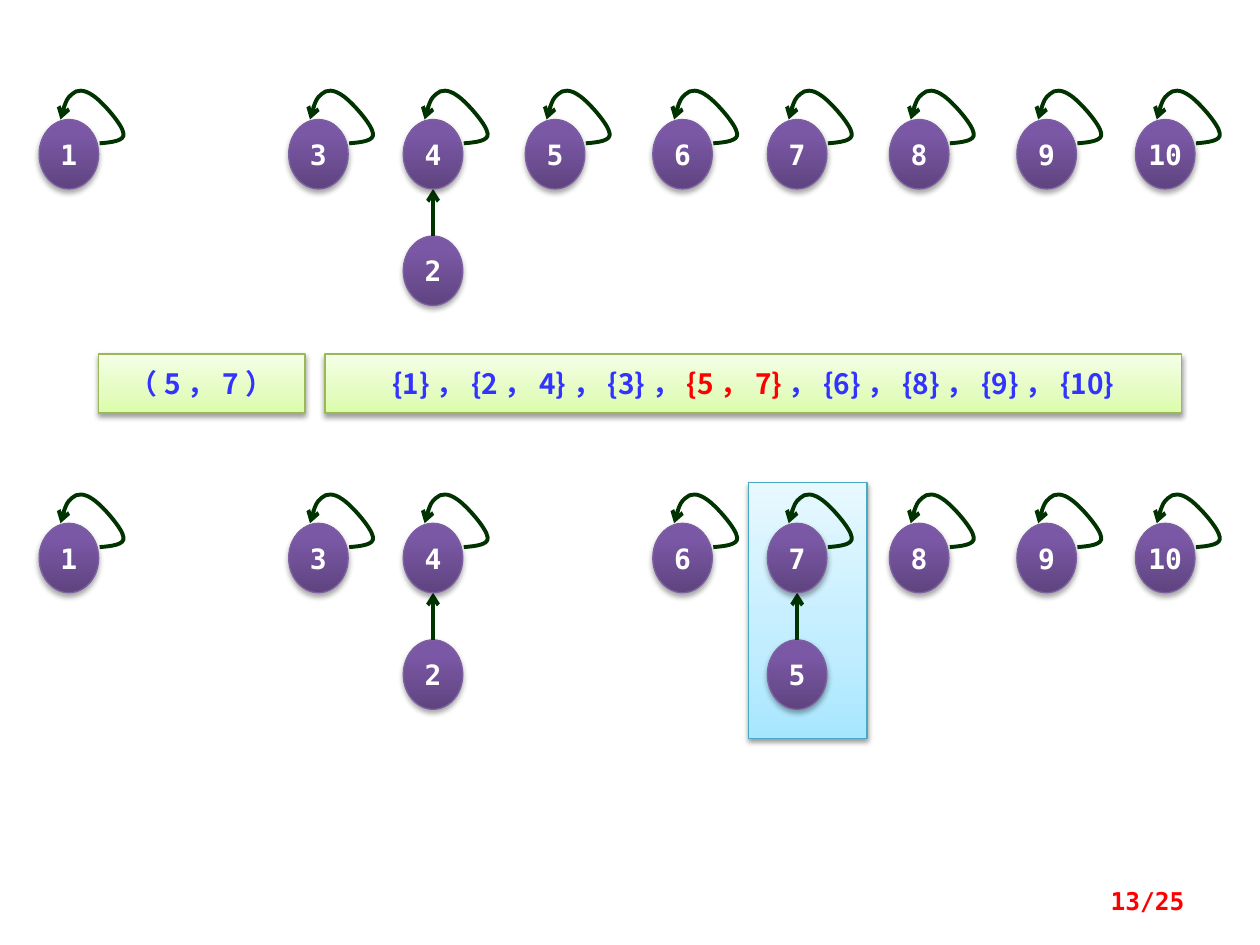
from copy import deepcopy

from lxml import etree
from pptx import Presentation
from pptx import util as u
from pptx.dml.color import RGBColor
from pptx.enum import shapes, text
from pptx.oxml.ns import qn

WHITE = RGBColor(0xFF, 0xFF, 0xFF)
RED = RGBColor(0xFF, 0x00, 0x00)
BLUE = RGBColor(0x33, 0x33, 0xFF)
DARK_GREEN = RGBColor(0x00, 0x33, 0x00)
PURPLE_EDGE = RGBColor(0x7D, 0x60, 0xA0)
GREEN_EDGE = RGBColor(0x98, 0xB9, 0x55)
AQUA_EDGE = RGBColor(0x46, 0xAA, 0xC5)
PURPLE = [(0, RGBColor(0x5F, 0x44, 0x80)), (0.8, RGBColor(0x7B, 0x58, 0xA6)),
          (1, RGBColor(0x7C, 0x57, 0xA8))]
GREEN = [(0, RGBColor(0xDA, 0xFD, 0xA7)), (0.35, RGBColor(0xE4, 0xFC, 0xC2)),
         (1, RGBColor(0xF5, 0xFF, 0xE7))]
AQUA = [(0, RGBColor(0xA7, 0xE6, 0xFF)), (0.35, RGBColor(0xC1, 0xED, 0xFF)),
        (1, RGBColor(0xE7, 0xF8, 0xFF))]

MONO = "DejaVu Sans Mono"
HAN = "Noto Sans CJK SC"
NODE_WIDTH, NODE_HEIGHT, LEVEL_GAP = 1.2, 1.4, 2.35
ROOT_LEFT = {1: 0.79, 3: 5.82, 4: 8.13, 5: 10.59, 6: 13.16,
             7: 15.47, 8: 17.93, 9: 20.5, 10: 22.89}
FORESTS = [(2.41, {2: 4}), (10.55, {2: 4, 5: 7})]
LOOP = [(1.22, 0.48), (1.47, 0.46), (1.73, 0.43), (1.7, 0.28), (1.68, 0.1),
        (1.27, -0.36), (1.09, -0.48), (0.91, -0.61), (0.76, -0.61),
        (0.66, -0.51), (0.56, -0.43), (0.48, -0.23), (0.43, 0)]


def add_box(kind, left, top, width, height, stops, edge, alpha, distance):
    box = page.shapes.add_shape(kind, u.Cm(left), u.Cm(top), u.Cm(width), u.Cm(height))
    box.fill.gradient()
    box.fill.gradient_angle = 90
    stop_list = box.element.find(".//" + qn("a:gsLst"))
    stop_list.append(deepcopy(stop_list[0]))
    for stop, (position, color) in zip(box.fill.gradient_stops, stops):
        stop.position = position
        stop.color.rgb = color
    box.line.color.rgb = edge
    box.line.width = u.Pt(0.75)
    box.shadow.inherit = False
    effects = box.element.spPr.find(qn("a:effectLst"))
    shadow = etree.SubElement(effects, qn("a:outerShdw"), blurRad="40000",
                              dist=str(distance), dir="5400000", rotWithShape="0")
    black = etree.SubElement(shadow, qn("a:srgbClr"), val="000000")
    etree.SubElement(black, qn("a:alpha"), val=str(alpha * 1000))
    return box


def write(box, spans, font_name, size, align):
    box.text_frame.word_wrap = True
    box.text_frame.vertical_anchor = text.MSO_ANCHOR.MIDDLE
    para = box.text_frame.paragraphs[0]
    para.alignment = align
    for words, color in spans:
        span = para.add_run()
        span.text = words
        for name, value in {"name": font_name, "size": u.Pt(size), "bold": True}.items():
            setattr(span.font, name, value)
        span.font.color.rgb = color
        etree.SubElement(span.font._element, qn("a:ea"), typeface=font_name)


deck = Presentation()
deck.slide_width, deck.slide_height = u.Cm(25.4), u.Cm(19.05)
page = deck.slides.add_slide(deck.slide_layouts[6])

add_box(shapes.MSO_SHAPE.RECTANGLE, 15.09, 9.73, 2.39, 5.16, AQUA, AQUA_EDGE, 38, 20000)

banners = [
    (1.98, 4.17, [("（5，7）", BLUE)]),
    (6.55, 17.27, [("{1}，{2，4}，{3}，", BLUE), ("{5，7}", RED),
                   ("，{6}，{8}，{9}，{10}", BLUE)]),
]
for left, width, spans in banners:
    banner = add_box(shapes.MSO_SHAPE.RECTANGLE, left, 7.14, width, 1.19,
                     GREEN, GREEN_EDGE, 38, 20000)
    write(banner, spans, HAN, 16, text.PP_ALIGN.CENTER)

arrows = []
for root_top, parents in FORESTS:
    for number in range(1, 11):
        parent = parents.get(number)
        left = ROOT_LEFT[parent or number]
        top = root_top + LEVEL_GAP if parent else root_top
        node = add_box(shapes.MSO_SHAPE.OVAL, left, top, NODE_WIDTH, NODE_HEIGHT,
                       PURPLE, PURPLE_EDGE, 35, 23000)
        node.text_frame.margin_left = node.text_frame.margin_right = 0
        write(node, [(str(number), WHITE)], MONO, 16, text.PP_ALIGN.CENTER)
        if parent:
            middle = u.Cm(left + NODE_WIDTH / 2)
            arrows.append(page.shapes.add_connector(
                shapes.MSO_CONNECTOR.STRAIGHT, middle, u.Cm(top),
                middle, u.Cm(root_top + NODE_HEIGHT)))
            continue
        points = [(u.Cm(left + x), u.Cm(top + y)) for x, y in LOOP]
        builder = page.shapes.build_freeform(*points[0])
        builder.add_line_segments(points[1:], close=False)
        loop = builder.convert_to_shape()
        loop.fill.background()
        outline = loop.element.find(".//" + qn("a:path"))
        segments = outline.findall(qn("a:lnTo"))
        for first in range(0, len(segments), 3):
            curve = etree.SubElement(outline, qn("a:cubicBezTo"))
            for segment in segments[first:first + 3]:
                curve.append(segment[0])
                outline.remove(segment)
        arrows.append(loop)

for arrow in arrows:
    arrow.line.color.rgb = DARK_GREEN
    arrow.line.width = u.Pt(2.25)
    properties = arrow.element.spPr
    etree.SubElement(properties.find(qn("a:ln")), qn("a:tailEnd"), type="arrow")
    etree.SubElement(properties, qn("a:effectLst"))

page_number = page.shapes.add_textbox(u.Cm(18.21), u.Cm(17.65), u.Cm(5.92), u.Cm(1.02))
write(page_number, [("13/25", RED)], MONO, 14, text.PP_ALIGN.RIGHT)

deck.save("out.pptx")
